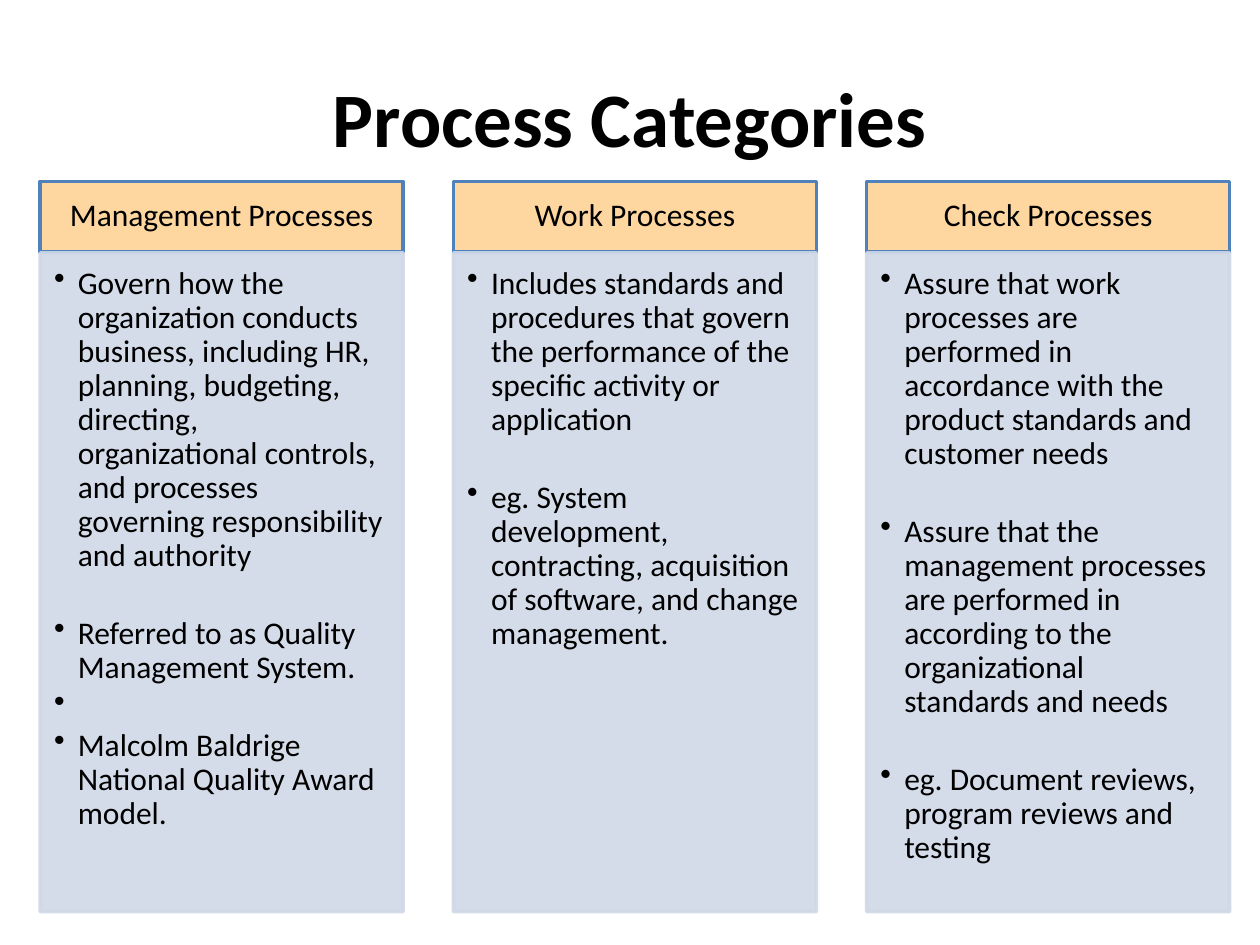
from lxml import etree
from pptx import Presentation
from pptx import util as u
from pptx.dml.color import RGBColor
from pptx.enum import shapes, text
from pptx.oxml.ns import qn

BLACK = RGBColor(0x00, 0x00, 0x00)
ORANGE = RGBColor(0xFE, 0xD6, 0xA0)
BLUE = RGBColor(0x4F, 0x81, 0xBD)
PALE = RGBColor(0xD0, 0xD8, 0xE7)

LEFT, PITCH, WIDTH = 0.81, 8.33, 7.32
HEAD_TOP, HEAD_HEIGHT = 3.66, 1.42
BODY_TOP, BODY_HEIGHT = 5.1, 13.28
INDENT = u.Cm(0.48)
SECTION_GAP = u.Pt(22.3)

columns = [
    ("Management Processes", [
        ("Govern how the organization conducts business, including HR, planning, budgeting, "
         "directing, organizational controls, and processes governing responsibility and authority", 0),
        ("Referred to as Quality Management System.", SECTION_GAP),
        (" ", 0),
        ("Malcolm Baldrige National Quality Award model.", 0),
    ]),
    ("Work Processes", [
        ("Includes standards and procedures that govern the performance of the specific "
         "activity or application", 0),
        ("eg. System development, contracting, acquisition of software, and change management.",
         SECTION_GAP),
    ]),
    ("Check Processes", [
        ("Assure that work processes are performed in accordance with the product standards "
         "and customer needs", 0),
        ("Assure that the management processes are performed in according to the "
         "organizational standards and needs", SECTION_GAP),
        ("eg. Document reviews, program reviews and testing", SECTION_GAP),
    ]),
]


def add_box(x, y, height, fill, line, insets):
    sp = s.shapes.add_shape(shapes.MSO_SHAPE.RECTANGLE, u.Cm(x), u.Cm(y), u.Cm(WIDTH), u.Cm(height))
    sp.shadow.inherit = False
    sp.fill.solid()
    sp.fill.fore_color.rgb = fill
    sp.line.color.rgb = line
    sp.line.width = u.Pt(2)
    tf = sp.text_frame
    tf.word_wrap = True
    tf.margin_left, tf.margin_top, tf.margin_right, tf.margin_bottom = [u.Cm(i) for i in insets]
    return sp


def write(p, words, size, align, after=0, bold=False):
    p.text = words
    p.alignment = align
    p.line_spacing = 0.9
    p.space_after = u.Pt(after)
    p.font.name = "Calibri"
    p.font.size = u.Pt(size)
    p.font.bold = bold
    p.font.color.rgb = BLACK


prs = Presentation()
prs.slide_width = u.Cm(25.4)
prs.slide_height = u.Cm(19.05)
s = prs.slides.add_slide(prs.slide_layouts[6])

sp = s.shapes.add_textbox(u.Cm(1.27), u.Cm(0.76), u.Cm(22.86), u.Cm(3.18))
tf = sp.text_frame
tf.word_wrap = True
tf.vertical_anchor = text.MSO_ANCHOR.MIDDLE
write(tf.paragraphs[0], "Process Categories", 44, text.PP_ALIGN.CENTER, bold=True)
tf.paragraphs[0].line_spacing = 1.0

for i, (heading, points) in enumerate(columns):
    x = LEFT + i * PITCH

    sp = add_box(x, HEAD_TOP, HEAD_HEIGHT, ORANGE, BLUE, (0.36, 0.2, 0.36, 0.2))
    tf = sp.text_frame
    tf.vertical_anchor = text.MSO_ANCHOR.MIDDLE
    write(tf.paragraphs[0], heading, 18, text.PP_ALIGN.CENTER, after=6.4)

    sp = add_box(x, BODY_TOP, BODY_HEIGHT, PALE, PALE, (0.28, 0.28, 0.36, 0.41))
    for clr in sp.fill._xPr.iter(qn("a:srgbClr")):
        etree.SubElement(clr, qn("a:alpha"), val="90000")
    tf = sp.text_frame
    tf.vertical_anchor = text.MSO_ANCHOR.TOP
    for n, (words, before) in enumerate(points):
        p = tf.add_paragraph() if n else tf.paragraphs[0]
        write(p, words, 18, text.PP_ALIGN.LEFT, after=2.8)
        p.space_before = before
        p.level = 1
        pPr = p._p.get_or_add_pPr()
        pPr.set("marL", str(INDENT))
        pPr.set("indent", str(-INDENT))
        bullet = etree.Element(qn("a:buChar"), char="•")
        pPr.find(qn("a:defRPr")).addprevious(bullet)

prs.save("out.pptx")
